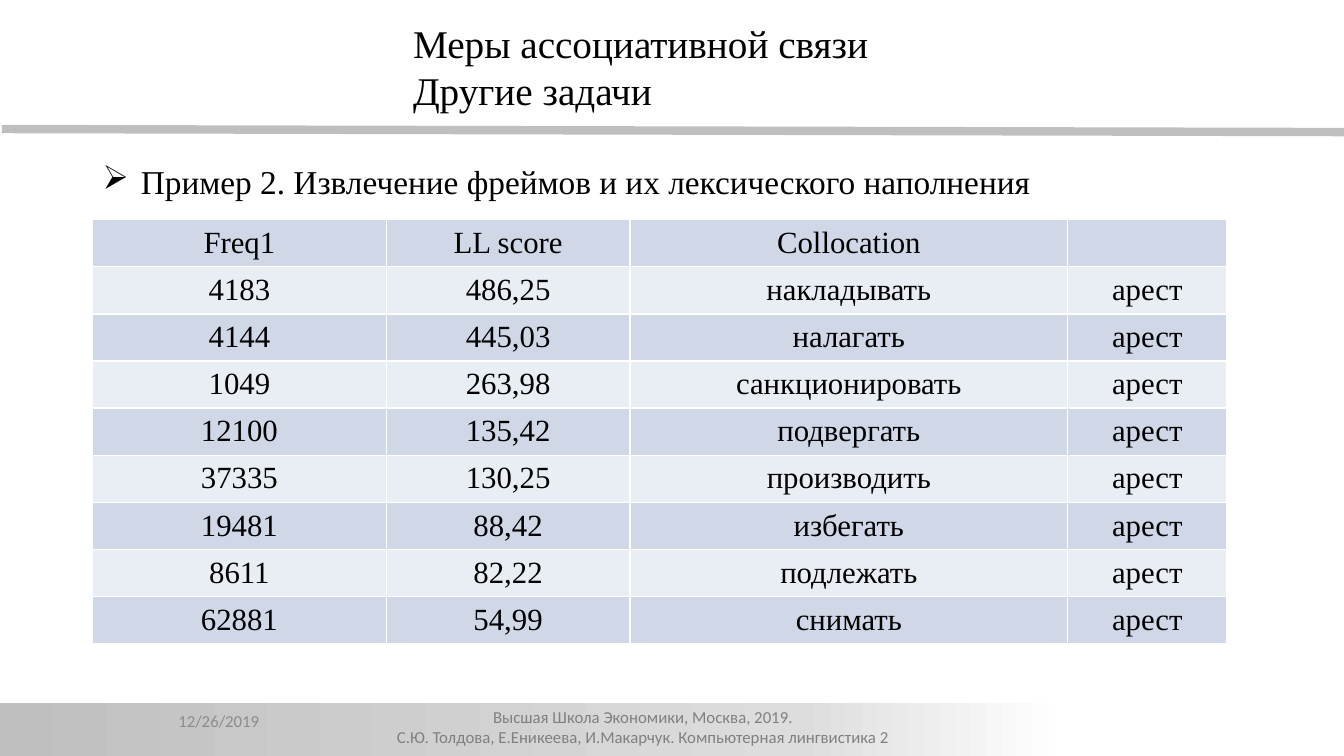
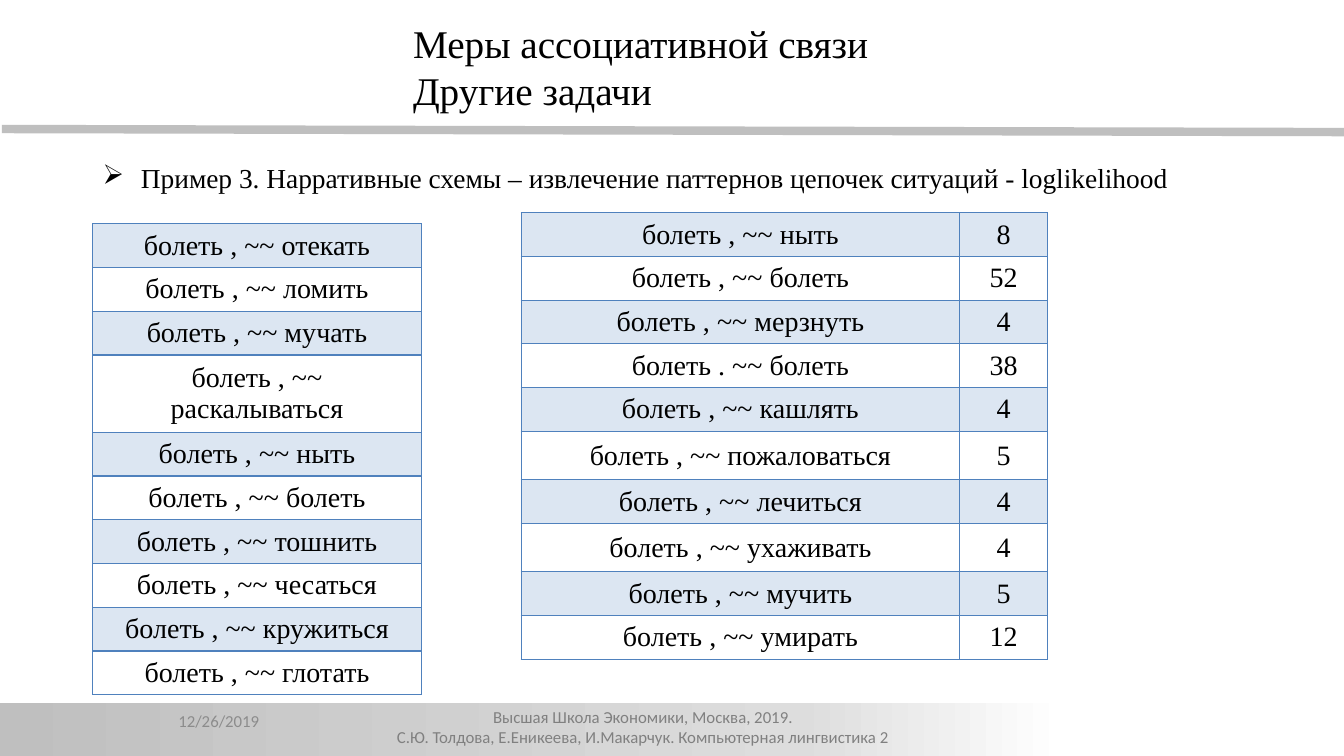
"""Build two slides on association measures: frames and narrative schemes."""
from copy import deepcopy
from dataclasses import dataclass, field

from lxml import etree
from pptx import Presentation
from pptx import util as u
from pptx.dml.color import RGBColor
from pptx.enum import shapes, text
from pptx.oxml.ns import qn


@dataclass(frozen=True)
class Theme:
    serif: str = "Times New Roman"
    sans: str = "Calibri"
    ink: str = "000000"
    rule: str = "BFBFBF"
    footer_ink: str = "808080"
    date_ink: str = "8C8C8C"
    white: str = "FFFFFF"
    accent: str = "4F81BD"
    frame_bands: tuple[str, str] = ("D0D8E8", "E9EDF4")
    scheme_bands: tuple[str, None] = ("DCE6F2", None)
    band_stops: tuple[tuple[float, str], ...] = ((0, "BFBFBF"), (0.75, "DDDDDD"), (1, "FFFFFF"))
    title_size: float = 28
    footer_size: float = 12
    frame_size: float = 22
    scheme_size: float = 20
    rule_width: float = 6
    border_width: float = 1


@dataclass(frozen=True)
class Box:
    """A rectangle in percent of the slide's width and height."""
    left: float
    top: float
    width: float
    height: float

    def lengths(self) -> tuple[int, int, int, int]:
        return across(self.left), down(self.top), across(self.width), down(self.height)


@dataclass(frozen=True)
class Label:
    box: Box
    lines: tuple[str, ...]
    size: float
    font: str
    color: str
    align: text.PP_ALIGN = text.PP_ALIGN.LEFT
    anchor: text.MSO_ANCHOR = text.MSO_ANCHOR.TOP
    bullet: str = ""


@dataclass(frozen=True)
class Grid:
    left: float
    top: float
    columns: tuple[float, ...]
    row: float
    cells: tuple[tuple[str, ...], ...]
    size: float
    bands: tuple[str | None, ...]
    border: str
    tall_rows: dict[int, float] = field(default_factory=dict)


THEME = Theme()
WIDTH, HEIGHT = u.Inches(13.33), u.Inches(7.5)
MARGIN = 6.9
BULLET_INDENT = u.Inches(0.38)

FOOTER_BAND = Box(0, 92.93, 79.2, 7.07)
SHARED_LABELS = (
    Label(Box(19.05, 92.8, 57.6, 6),
          ("Высшая Школа Экономики, Москва, 2019.",
           "С.Ю. Толдова, Е.Еникеева, И.Макарчук. Компьютерная лингвистика 2"),
          THEME.footer_size, THEME.sans, THEME.footer_ink, text.PP_ALIGN.CENTER),
    Label(Box(12.53, 92.67, 17.48, 5.33), ("12/26/2019",),
          THEME.footer_size, THEME.sans, THEME.date_ink, anchor=text.MSO_ANCHOR.MIDDLE),
    Label(Box(30, 1.87, 43.73, 13.87), ("Меры ассоциативной связи", "Другие задачи"),
          THEME.title_size, THEME.serif, THEME.ink),
)


def across(percent: float) -> int:
    return round(WIDTH * percent / 100)


def down(percent: float) -> int:
    return round(HEIGHT * percent / 100)


def rgb(color: str) -> RGBColor:
    return RGBColor.from_string(color)


def style(paragraph, size: float, font: str, color: str, align: text.PP_ALIGN) -> None:
    paragraph.alignment = align
    paragraph.font.size = u.Pt(size)
    paragraph.font.name = font
    paragraph.font.color.rgb = rgb(color)


def add_bullet(paragraph, character: str) -> None:
    properties = paragraph._p.get_or_add_pPr()
    properties.set("marL", str(BULLET_INDENT))
    properties.set("indent", str(-BULLET_INDENT))
    etree.SubElement(properties, qn("a:buChar")).set("char", character)


def add_label(slide, label: Label) -> None:
    frame = slide.shapes.add_textbox(*label.box.lengths()).text_frame
    frame.word_wrap = True
    frame.vertical_anchor = label.anchor
    frame.text = "\n".join(label.lines)
    for paragraph in frame.paragraphs:
        if label.bullet:
            add_bullet(paragraph, label.bullet)
        style(paragraph, label.size, label.font, label.color, label.align)


def add_rule(slide) -> None:
    rule = slide.shapes.add_connector(
        shapes.MSO_CONNECTOR.STRAIGHT, across(0.15), down(17.07), across(100), down(17.47))
    rule.line.color.rgb = rgb(THEME.rule)
    rule.line.width = u.Pt(THEME.rule_width)
    etree.SubElement(rule._element.spPr, qn("a:effectLst"))


def add_footer_band(slide) -> None:
    band = slide.shapes.add_shape(shapes.MSO_SHAPE.RECTANGLE, *FOOTER_BAND.lengths())
    band.shadow.inherit = False
    band.line.fill.background()
    band.fill.gradient()
    band.fill.gradient_angle = 0
    stop_list = band._element.spPr.find(qn("a:gradFill")).find(qn("a:gsLst"))
    stop_list.append(deepcopy(stop_list[-1]))
    for stop, (position, color) in zip(band.fill.gradient_stops, THEME.band_stops):
        stop.position = position
        stop.color.rgb = rgb(color)


def add_borders(cell, color: str) -> None:
    properties = cell._tc.get_or_add_tcPr()
    for side in ("lnL", "lnR", "lnT", "lnB"):
        line = etree.SubElement(properties, qn(f"a:{side}"))
        line.set("w", str(u.Pt(THEME.border_width)))
        fill = etree.SubElement(line, qn("a:solidFill"))
        etree.SubElement(fill, qn("a:srgbClr")).set("val", color)


def add_grid(slide, grid: Grid) -> None:
    heights = [grid.tall_rows.get(index, grid.row) for index in range(len(grid.cells))]
    box = Box(grid.left, grid.top, sum(grid.columns), sum(heights))
    table = slide.shapes.add_table(len(heights), len(grid.columns), *box.lengths()).table
    table.first_row = table.horz_banding = False
    for column, width in zip(table.columns, grid.columns):
        column.width = across(width)
    for index, (row, height) in enumerate(zip(table.rows, heights)):
        row.height = down(height)
        band = grid.bands[index % len(grid.bands)]
        for cell, words in zip(row.cells, grid.cells[index]):
            cell.text = words
            cell.vertical_anchor = text.MSO_ANCHOR.MIDDLE
            style(cell.text_frame.paragraphs[0], grid.size, THEME.serif, THEME.ink,
                  text.PP_ALIGN.CENTER)
            add_borders(cell, grid.border)
            if band:
                cell.fill.solid()
                cell.fill.fore_color.rgb = rgb(band)
            else:
                cell.fill.background()


def add_slide(presentation, example: str, example_size: float, grids: tuple[Grid, ...]) -> None:
    slide = presentation.slides.add_slide(presentation.slide_layouts[6])
    add_rule(slide)
    add_footer_band(slide)
    for label in SHARED_LABELS:
        add_label(slide, label)
    add_label(slide, Label(Box(MARGIN, 20.67, 88.6, 6.4), (example,), example_size,
                           THEME.serif, THEME.ink, bullet="➢"))
    for grid in grids:
        add_grid(slide, grid)


def chain(verb: str, mark: str = ",") -> str:
    return f"болеть {mark} ~~ {verb}"


def scheme_grid(left: float, top: float, columns: tuple[float, ...],
                cells: tuple[tuple[str, ...], ...], tall_rows: dict[int, float]) -> Grid:
    return Grid(left, top, columns, 5.78, cells, THEME.scheme_size,
                THEME.scheme_bands, THEME.accent, tall_rows)


COLLOCATIONS = (
    ("4183", "486,25", "накладывать"),
    ("4144", "445,03", "налагать"),
    ("1049", "263,98", "санкционировать"),
    ("12100", "135,42", "подвергать"),
    ("37335", "130,25", "производить"),
    ("19481", "88,42", "избегать"),
    ("8611", "82,22", "подлежать"),
    ("62881", "54,99", "снимать"),
)
SYMPTOMS = ("отекать", "ломить", "мучать", "раскалываться", "ныть",
            "болеть", "тошнить", "чесаться", "кружиться", "глотать")
CHAIN_COUNTS = (
    (chain("ныть"), "8"),
    (chain("болеть"), "52"),
    (chain("мерзнуть"), "4"),
    (chain("болеть", "."), "38"),
    (chain("кашлять"), "4"),
    (chain("пожаловаться"), "5"),
    (chain("лечиться"), "4"),
    (chain("ухаживать"), "4"),
    (chain("мучить"), "5"),
    (chain("умирать"), "12"),
)


def main() -> None:
    presentation = Presentation()
    presentation.slide_width, presentation.slide_height = WIDTH, HEIGHT
    frames = Grid(
        MARGIN, 29.07, (21.83, 18.15, 32.56, 11.85), 6.23,
        (("Freq1", "LL score", "Collocation", ""),
         *((*collocation, "арест") for collocation in COLLOCATIONS)),
        THEME.frame_size, THEME.frame_bands, THEME.white)
    symptoms = scheme_grid(MARGIN, 29.6, (24.45,),
                           tuple((chain(verb),) for verb in SYMPTOMS), {3: 10.2})
    counts = scheme_grid(38.78, 28.13, (32.63, 6.53), CHAIN_COUNTS, {5: 6.4, 7: 6.4})
    add_slide(presentation, "Пример 2. Извлечение фреймов и их лексического наполнения",
              23.8, (frames,))
    add_slide(presentation,
              "Пример 3. Нарративные схемы – извлечение паттернов цепочек ситуаций - loglikelihood",
              19.6, (symptoms, counts))
    presentation.save("out.pptx")


if __name__ == "__main__":
    main()
